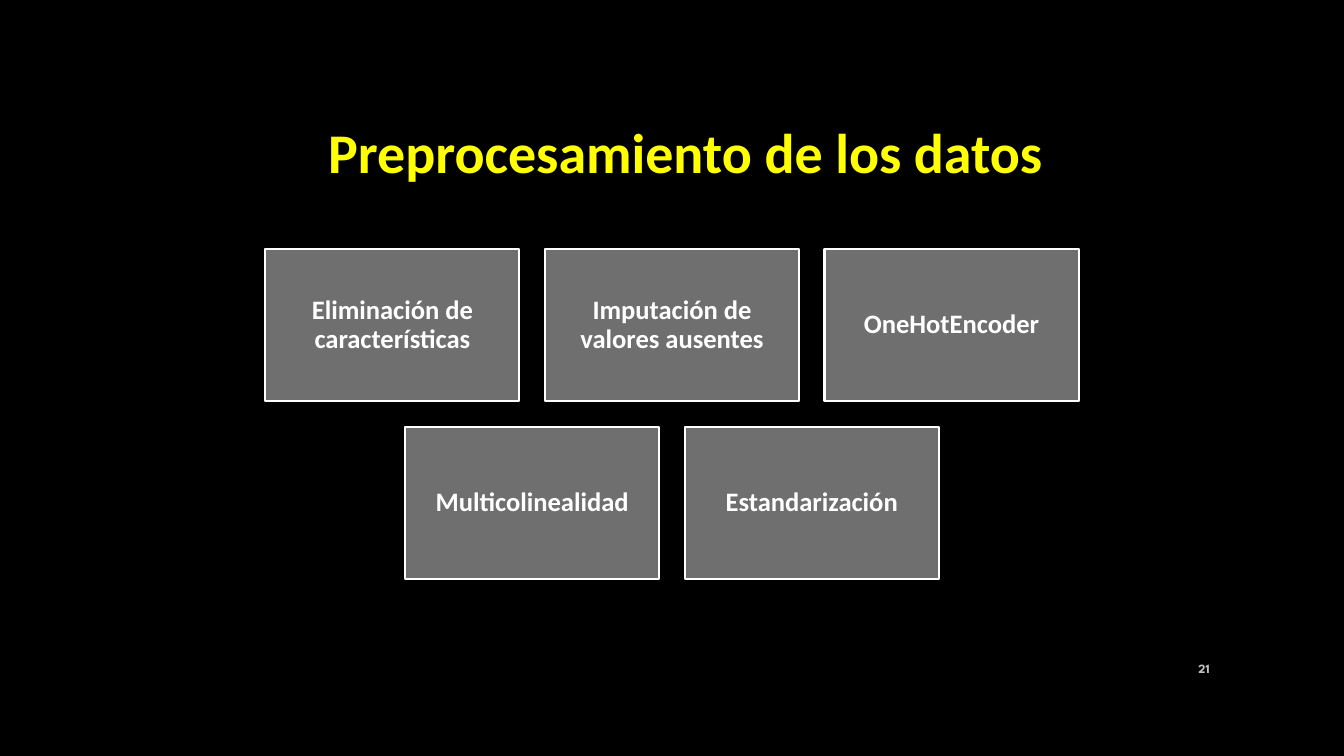
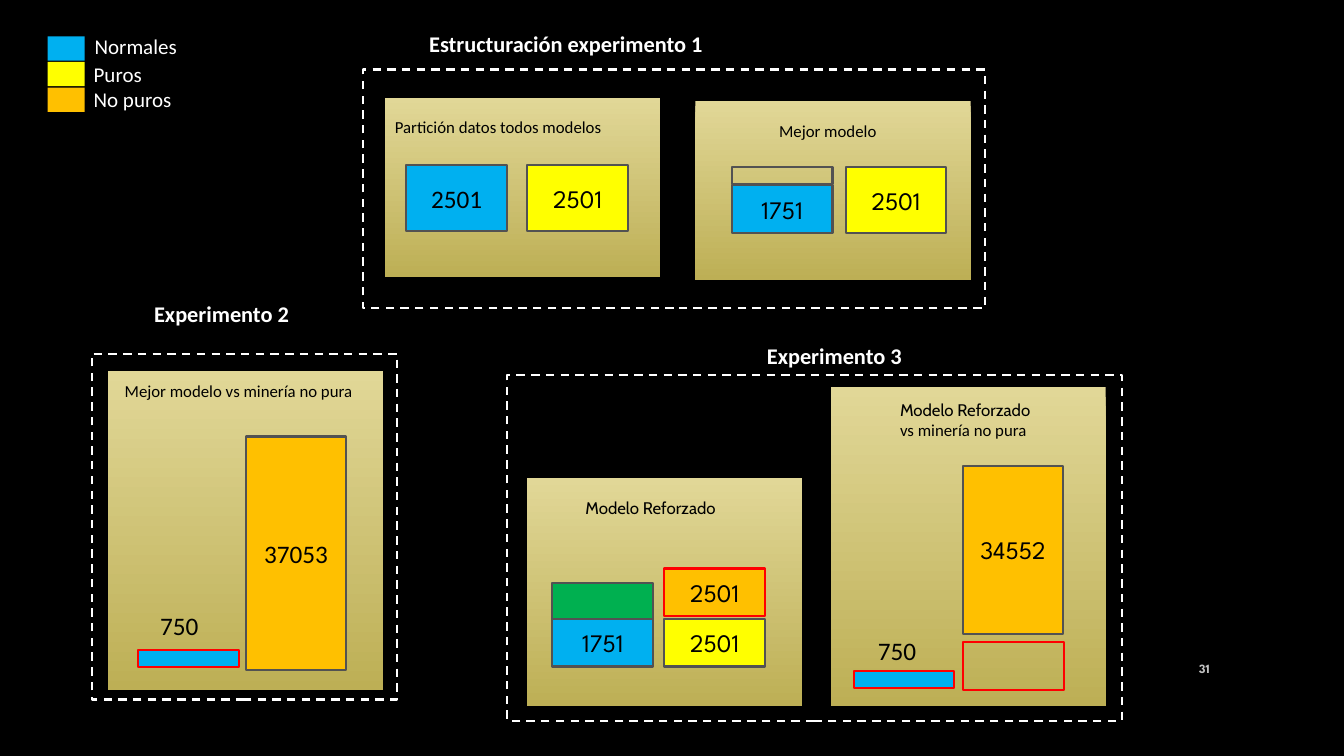
from dataclasses import dataclass
from typing import Optional

from pptx import Presentation
from pptx.dml.color import RGBColor
from pptx.enum import dml, shapes, text
from pptx.util import Pt

BLACK, WHITE, GREY = "000000", "FFFFFF", "BFBFBF"
BLUE, YELLOW, ORANGE, GREEN = "00B0F0", "FFFF00", "FFC000", "00B050"
TILE_GREY, EDGE, RED = "6F6F6F", "525252", "FF0000"
GOLD_TOP, GOLD_BOTTOM = "E1D797", "BDAF55"
CALIBRI, CABIN, SPARTAN = "Calibri", "Cabin", "League Spartan"
SLIDE_W, SLIDE_H = 960, 540
CENTER, RIGHT = text.PP_ALIGN.CENTER, text.PP_ALIGN.RIGHT
MIDDLE = text.MSO_ANCHOR.MIDDLE

TILE_W, TILE_H, TILE_GAP, TILES_TOP = 181.5, 109, 18.2, 177.7
PANEL_W, BAR_W = 196.5, 72


@dataclass
class Box:
    left: float
    top: float
    width: float
    height: float


@dataclass
class Style:
    size: float
    color: str
    font: str = CALIBRI
    bold: bool = False
    align: Optional[text.PP_ALIGN] = None


@dataclass
class Bar:
    left: float
    top: float
    height: float
    fill: Optional[str]
    edge: str = EDGE
    label: str = ""
    font: str = SPARTAN


@dataclass
class Label:
    box: Box
    lines: list[tuple[str, str]]


TITLE = Style(40, YELLOW, bold=True, align=CENTER)
NUMBER = Style(9, GREY, SPARTAN, True, RIGHT)
TILE = Style(19, WHITE, bold=True, align=CENTER)
LEGEND = Style(15, WHITE)
CAPTION = Style(12, BLACK)
HEADING = Style(16, WHITE, bold=True)
COUNT = Style(18, BLACK)

TILE_ROWS = [
    ["Eliminación de características", "Imputación de valores ausentes", "OneHotEncoder"],
    ["Multicolinealidad", "Estandarización"],
]

PANELS = [
    Box(593.3, 276.5, PANEL_W, 228.2),
    Box(376.6, 341.3, PANEL_W, 163.4),
    Box(77, 265, PANEL_W, 228.2),
    Box(496.8, 72, PANEL_W, 128.2),
    Box(275, 69.8, PANEL_W, 128.2),
]
FRAMES = [
    Box(65.5, 252.7, 218.2, 247),
    Box(362.2, 267.8, 439.2, 247),
    Box(259.2, 49.7, 444.2, 170.6),
]
BARS = [
    Bar(290.2, 118, 46.8, BLUE, label="2501", font=CALIBRI),
    Bar(376.6, 118, 46.8, YELLOW, label="2501"),
    Bar(522.7, 132.3, 34, BLUE, label="1751"),
    Bar(522.7, 119.5, 12.2, None),
    Bar(604.1, 119.5, 46.8, YELLOW, label="2501"),
    Bar(175.5, 311.8, 167, ORANGE, label="37053", font=CALIBRI),
    Bar(98.6, 464, 12.2, BLUE, RED),
    Bar(394.6, 442.1, 34, BLUE, label="1751"),
    Bar(394.6, 416.2, 25.9, GREEN),
    Bar(474.5, 442.1, 34, YELLOW, label="2501"),
    Bar(474.5, 406.1, 34, ORANGE, RED, "2501"),
    Bar(687.6, 332.6, 120.2, ORANGE, label="34552"),
    Bar(687.9, 458.6, 34, None, RED),
    Bar(609.8, 479.5, 12.2, BLUE, RED),
]
LEGEND_ITEMS = [
    (BLUE, Label(Box(60.5, 20.2, 82, 25.2), [("Normales", CALIBRI)])),
    (YELLOW, Label(Box(59.8, 40.3, 56.2, 25.2), [("Puros", CALIBRI)])),
    (ORANGE, Label(Box(59.8, 58.3, 77.8, 25.2), [("No puros", CALIBRI)])),
]
CAPTIONS = [
    Label(Box(275, 80, 183.6, 21.6), [("Partición datos todos modelos", CALIBRI)]),
    Label(Box(549.4, 82.8, 90, 21.6), [("Mejor modelo", CALIBRI)]),
    Label(Box(82, 268.6, 194.4, 21.6), [("Mejor modelo vs minería no pura", CALIBRI)]),
    Label(Box(411.1, 352, 110.2, 21.6), [("Modelo Reforzado", CABIN)]),
    Label(Box(635.8, 282.2, 116, 36),
          [("Modelo Reforzado", CABIN), ("vs minería no pura", CALIBRI)]),
]
HEADINGS = [
    Label(Box(299.5, 18, 252, 26.6), [("Estructuración experimento 1", CALIBRI)]),
    Label(Box(103, 211, 128.9, 26.6), [("Experimento 2", CALIBRI)]),
    Label(Box(540.7, 241.2, 128.9, 26.6), [("Experimento 3", CALIBRI)]),
]
COUNTS = [
    Label(Box(107.3, 432.7, 83.5, 28.8), [("750", CALIBRI)]),
    Label(Box(620, 450, 83.5, 28.8), [("750", CALIBRI)]),
]


def rgb(hex_color: str) -> RGBColor:
    return RGBColor.from_string(hex_color)


def place(box: Box) -> tuple[Pt, Pt, Pt, Pt]:
    return Pt(box.left), Pt(box.top), Pt(box.width), Pt(box.height)


def write(tf, lines: list[tuple[str, str]], style: Style, spacing: Optional[float] = None) -> None:
    """Write one paragraph for each (text, font) pair."""
    for i, (line, font) in enumerate(lines):
        p = tf.add_paragraph() if i else tf.paragraphs[0]
        p.alignment = style.align
        p.line_spacing = spacing
        r = p.add_run()
        r.text = line
        r.font.name = font
        r.font.size = Pt(style.size)
        r.font.bold = style.bold
        r.font.color.rgb = rgb(style.color)


def add_label(s, label: Label, style: Style, wrap: bool = False, anchor=None) -> None:
    tf = s.shapes.add_textbox(*place(label.box)).text_frame
    tf.word_wrap = wrap
    if not wrap:
        tf.auto_size = text.MSO_AUTO_SIZE.SHAPE_TO_FIT_TEXT
    tf.vertical_anchor = anchor
    write(tf, label.lines, style)


def add_rect(s, box: Box, fill: Optional[str] = None, edge: Optional[str] = None):
    sp = s.shapes.add_shape(shapes.MSO_SHAPE.RECTANGLE, *place(box))
    sp.shadow.inherit = False
    if fill:
        sp.fill.solid()
        sp.fill.fore_color.rgb = rgb(fill)
    else:
        sp.fill.background()
    if edge:
        sp.line.color.rgb = rgb(edge)
        sp.line.width = Pt(1.5)
    else:
        sp.line.fill.background()
    return sp


def add_panel(s, box: Box) -> None:
    fill = add_rect(s, box).fill
    fill.gradient()
    fill.gradient_angle = 270
    for stop, color in zip(fill.gradient_stops, (GOLD_TOP, GOLD_BOTTOM)):
        stop.color.rgb = rgb(color)


def add_bar(s, bar: Bar) -> None:
    sp = add_rect(s, Box(bar.left, bar.top, BAR_W, bar.height), bar.fill, bar.edge)
    if bar.label:
        sp.text_frame.vertical_anchor = MIDDLE
        write(sp.text_frame, [(bar.label, bar.font)], Style(18, BLACK, align=CENTER))


def add_tile(s, box: Box, caption: str) -> None:
    tf = add_rect(s, box, TILE_GREY, WHITE).text_frame
    tf.margin_left = tf.margin_right = tf.margin_top = tf.margin_bottom = Pt(5.7)
    tf.word_wrap = True
    tf.vertical_anchor = MIDDLE
    write(tf, [(caption, CALIBRI)], TILE, 0.9)


def new_slide(prs, number: str):
    """Add a black slide with its page number."""
    s = prs.slides.add_slide(prs.slide_layouts[6])
    s.background.fill.solid()
    s.background.fill.fore_color.rgb = rgb(BLACK)
    add_label(s, Label(Box(828, 463, 43.2, 28.8), [(number, SPARTAN)]), NUMBER, True, MIDDLE)
    return s


def build_preprocessing(prs) -> None:
    s = new_slide(prs, "21")
    title = Label(Box(129.6, 80.6, 720, 55.4), [("Preprocesamiento de los datos", CALIBRI)])
    add_label(s, title, TITLE, True)
    for row, captions in enumerate(TILE_ROWS):
        row_w = len(captions) * (TILE_W + TILE_GAP) - TILE_GAP
        top = TILES_TOP + row * (TILE_H + TILE_GAP)
        for col, caption in enumerate(captions):
            left = (SLIDE_W - row_w) / 2 + col * (TILE_W + TILE_GAP)
            add_tile(s, Box(left, top, TILE_W, TILE_H), caption)


def build_experiments(prs) -> None:
    s = new_slide(prs, "31")
    for panel in PANELS:
        add_panel(s, panel)
    for bar in BARS:
        add_bar(s, bar)
    for i, (color, label) in enumerate(LEGEND_ITEMS):
        add_rect(s, Box(34, 26 + i * 18.3, 26.6, 17.3), color)
        add_label(s, label, LEGEND)
    for labels, style in ((CAPTIONS, CAPTION), (HEADINGS, HEADING)):
        for label in labels:
            add_label(s, label, style)
    for label in COUNTS:
        add_label(s, label, COUNT, True)
    for frame in FRAMES:
        add_rect(s, frame, edge=WHITE).line.dash_style = dml.MSO_LINE.DASH


def main() -> None:
    prs = Presentation()
    prs.slide_width, prs.slide_height = Pt(SLIDE_W), Pt(SLIDE_H)
    build_preprocessing(prs)
    build_experiments(prs)
    prs.save("out.pptx")


if __name__ == "__main__":
    main()
